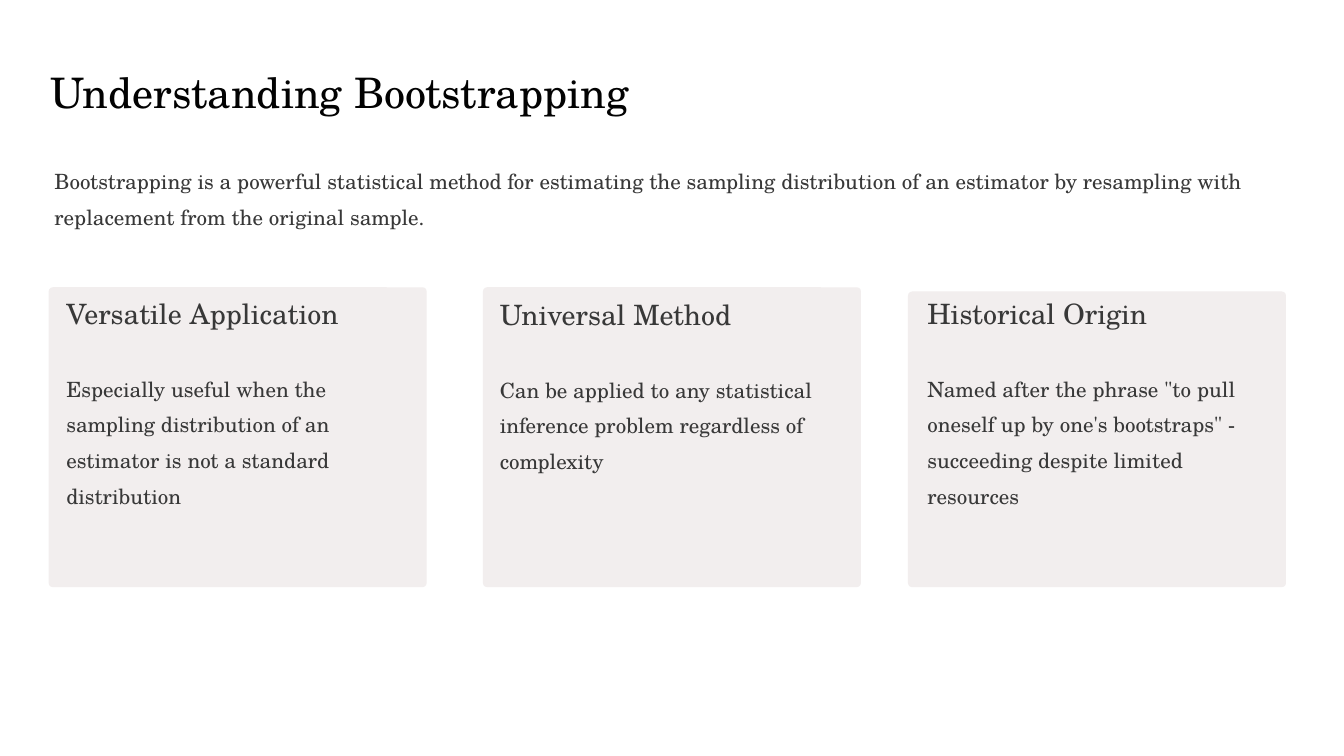
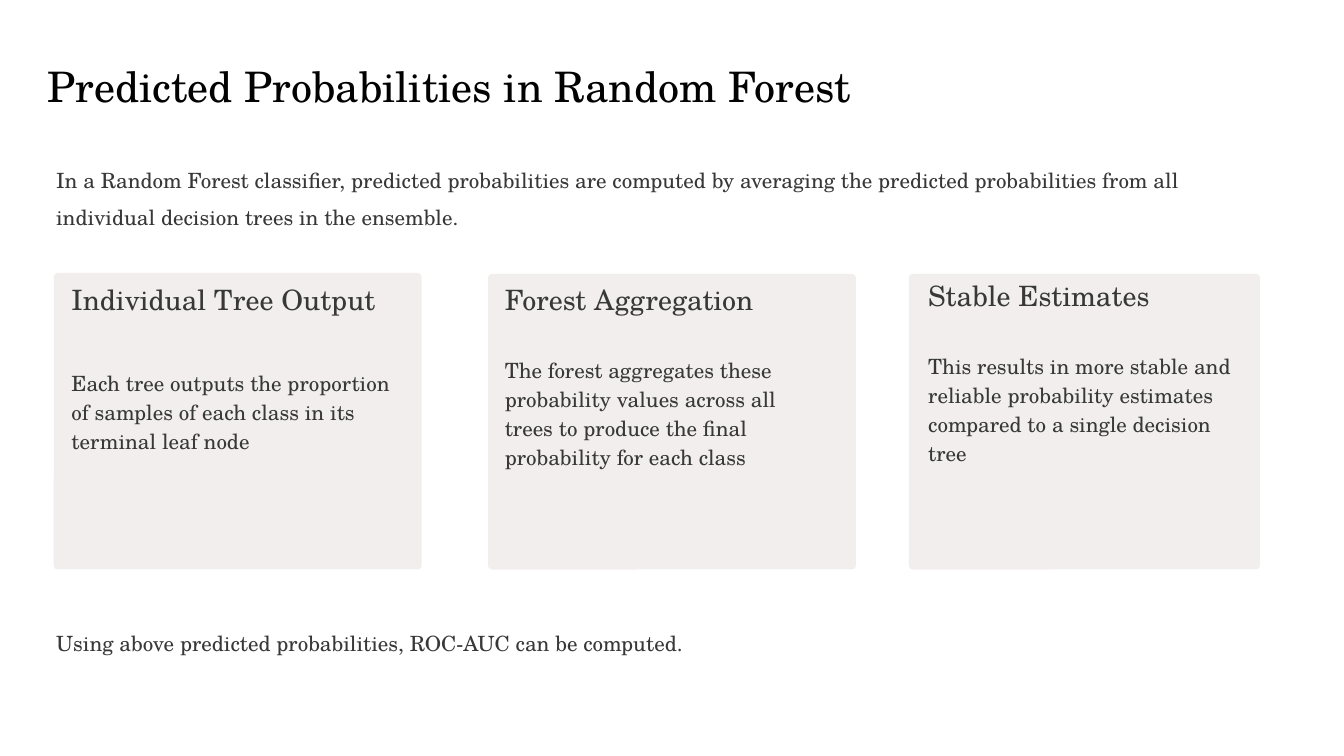
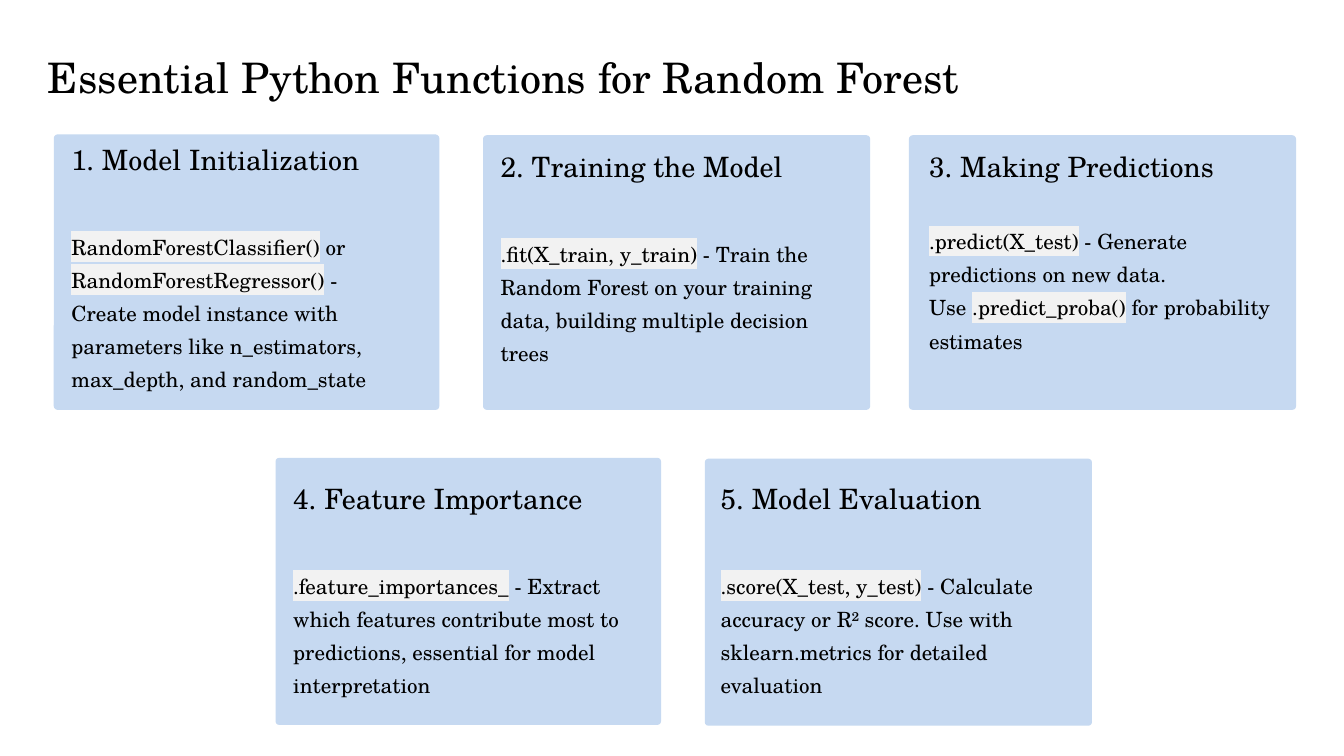
from lxml import etree
from pptx import Presentation
from pptx import util as u
from pptx.dml.color import RGBColor
from pptx.enum import shapes, text
from pptx.oxml.ns import qn

prs = Presentation()
prs.slide_width, prs.slide_height = u.Inches(16), u.Inches(9)
COL, ROW = prs.slide_width / 160, prs.slide_height / 90

FONT = "TeX Gyre Schola"
TITLE_INK = RGBColor(0x02, 0x02, 0x02)
BLACK = RGBColor(0x00, 0x00, 0x00)
GRAY = RGBColor(0x38, 0x38, 0x38)
STONE = RGBColor(0xF2, 0xEE, 0xEE)
SKY = RGBColor(0xC6, 0xD9, 0xF1)
CODE_FILL = RGBColor(0xF2, 0xF2, 0xF2)
TITLE_SIZE, HEAD_SIZE, BODY_SIZE = u.Pt(36), u.Pt(24), u.Pt(18)
CORNER = 0.014


def place(x, y, w, h):
    return [round(v) for v in (x * COL, y * ROW, w * COL, h * ROW)]


def set_attrs(obj, **fmt):
    for name, value in fmt.items():
        setattr(obj, name, value)


def add_run(p, words, size, color, code=False):
    r = p.add_run()
    r.text = words
    set_attrs(r.font, name=FONT, size=size)
    r.font.color.rgb = color
    if code:
        hl = etree.Element(qn("a:highlight"))
        etree.SubElement(hl, qn("a:srgbClr"), val=str(CODE_FILL))
        r.font._element.find(qn("a:solidFill")).addnext(hl)


def write(p, words, size, color, **fmt):
    set_attrs(p, alignment=text.PP_ALIGN.LEFT, **fmt)
    for i, part in enumerate(words.split("`")):
        for j, line in enumerate(part.split("\n")):
            if j:
                p.add_line_break()
            if line:
                add_run(p, line, size, color, code=i % 2 == 1)


def add_slide(title, box, color=TITLE_INK, spacing=u.Pt(51)):
    s = prs.slides.add_slide(prs.slide_layouts[5])
    sp = s.shapes.title
    set_attrs(sp, **dict(zip(("left", "top", "width", "height"), place(*box))))
    tf = sp.text_frame
    set_attrs(tf, margin_left=0, margin_right=0, margin_bottom=0,
              margin_top=u.Inches(0.48), word_wrap=True,
              vertical_anchor=text.MSO_ANCHOR.TOP,
              auto_size=text.MSO_AUTO_SIZE.SHAPE_TO_FIT_TEXT)
    write(tf.paragraphs[0], title, TITLE_SIZE, color, line_spacing=spacing)
    return s


def add_note(s, box, words):
    tf = s.shapes.add_textbox(*place(*box)).text_frame
    set_attrs(tf, word_wrap=True,
              auto_size=text.MSO_AUTO_SIZE.SHAPE_TO_FIT_TEXT)
    write(tf.paragraphs[0], words, BODY_SIZE, GRAY, line_spacing=u.Pt(31))


def add_card(s, box, inset, head, body, fill, ink, body_line, gap,
             head_line=u.Pt(30.5)):
    x, y, w, h = box
    dx, dy, text_w = inset
    sp = s.shapes.add_shape(shapes.MSO_SHAPE.ROUNDED_RECTANGLE, *place(*box))
    sp.adjustments[0] = CORNER
    sp.shadow.inherit = False
    sp.fill.solid()
    sp.fill.fore_color.rgb = fill
    sp.line.fill.background()
    area = place(x + dx, y + dy, text_w, h - dy)
    tf = s.shapes.add_textbox(*area).text_frame
    set_attrs(tf, word_wrap=True, margin_left=0, margin_right=0,
              margin_top=0, margin_bottom=0)
    write(tf.paragraphs[0], head, HEAD_SIZE, ink, line_spacing=head_line)
    write(tf.add_paragraph(), body, BODY_SIZE, ink,
          line_spacing=u.Pt(body_line), space_before=u.Pt(gap))


def bootstrapping_slide():
    s = add_slide("Understanding Bootstrapping", (6, 2, 149.3, 11.5))
    add_note(s, (5.5, 18.3, 145.4, 9.3),
             "Bootstrapping is a powerful statistical method for estimating "
             "the sampling distribution of an estimator by resampling with "
             "replacement from the original sample.")
    cards = [
        ((5.8, 34.2, 45, 35.7), (2.1, 0.9, 40.6), "Versatile Application",
         "Especially useful when the sampling distribution of an estimator "
         "is not a standard distribution"),
        ((57.5, 34.2, 45, 35.7), (2, 1, 39.4), "Universal Method",
         "Can be applied to any statistical inference problem regardless "
         "of complexity"),
        ((108.1, 34.7, 45, 35.2), (2.3, 0.4, 41.8), "Historical Origin",
         "Named after the phrase \"to pull oneself up by one's bootstraps\" "
         "- succeeding despite limited resources"),
    ]
    for card in cards:
        add_card(s, *card, STONE, GRAY, body_line=30.5, gap=30.5)


def probabilities_slide():
    s = add_slide("Predicted Probabilities in Random Forest",
                  (5.7, 1.3, 149.3, 11.5))
    add_note(s, (5.7, 18.2, 144.3, 9.3),
             "In a Random Forest classifier, predicted probabilities are "
             "computed by averaging the predicted probabilities from all "
             "individual decision trees in the ensemble.")
    cards = [
        ((6.4, 32.5, 43.8, 35.3), (2.1, 0.9, 39.5), "Individual Tree Output",
         "Each tree outputs the proportion of samples of each class in its "
         "terminal leaf node", 43),
        ((58.1, 32.6, 43.8, 35.2), (2, 0.8, 38.4), "Forest Aggregation",
         "The forest aggregates these probability values across all trees "
         "to produce the final probability for each class", 32),
        ((108.2, 32.6, 41.8, 35.2), (2.3, 0.3, 37.8), "Stable Estimates",
         "This results in more stable and reliable probability estimates "
         "compared to a single decision tree", 32),
    ]
    for *card, gap in cards:
        add_card(s, *card, STONE, GRAY, body_line=25, gap=gap)
    add_note(s, (5.7, 73.3, 80, 5),
             "Using above predicted probabilities, ROC-AUC can be computed.")


def functions_slide():
    s = add_slide("Essential Python Functions for Random Forest",
                  (5.7, 1.3, 149.3, 10.9), BLACK, 1.0)
    cards = [
        ((6.4, 16, 45.9, 32.8), (2.1, 0.9, 39.5), "1. Model Initialization",
         "`RandomForestClassifier()` or `RandomForestRegressor()` - Create "
         "model instance with parameters like n_estimators, max_depth, and "
         "random_state", 43, u.Pt(29)),
        ((57.5, 16.1, 46.1, 32.7), (2.1, -0.3, 38.4), "2. Training the Model",
         "`.fit(X_train, y_train)` - Train the Random Forest on your "
         "training data, building multiple decision trees", 43, 1.5),
        ((108.2, 16.1, 46.1, 32.7), (2.4, -0.3, 43.8),
         "3. Making Predictions",
         "`.predict(X_test)` - Generate predictions on new data.\n"
         "Use `.predict_proba()` for probability estimates", 32, 1.5),
        ((32.8, 54.5, 45.9, 31.8), (2.1, 0.8, 39.5), "4. Feature Importance",
         "`.feature_importances_` - Extract which features contribute most "
         "to predictions, essential for model interpretation", 43, 1.5),
        ((83.9, 54.6, 46.1, 31.8), (1.9, 0.7, 38.4), "5. Model Evaluation",
         "`.score(X_test, y_test)` - Calculate accuracy or R² score. Use "
         "with sklearn.metrics for detailed evaluation", 43, 1.5),
    ]
    for *card, gap, head_line in cards:
        add_card(s, *card, SKY, BLACK, body_line=28.5, gap=gap,
                 head_line=head_line)


def main():
    bootstrapping_slide()
    probabilities_slide()
    functions_slide()
    prs.save("out.pptx")


if __name__ == "__main__":
    main()
